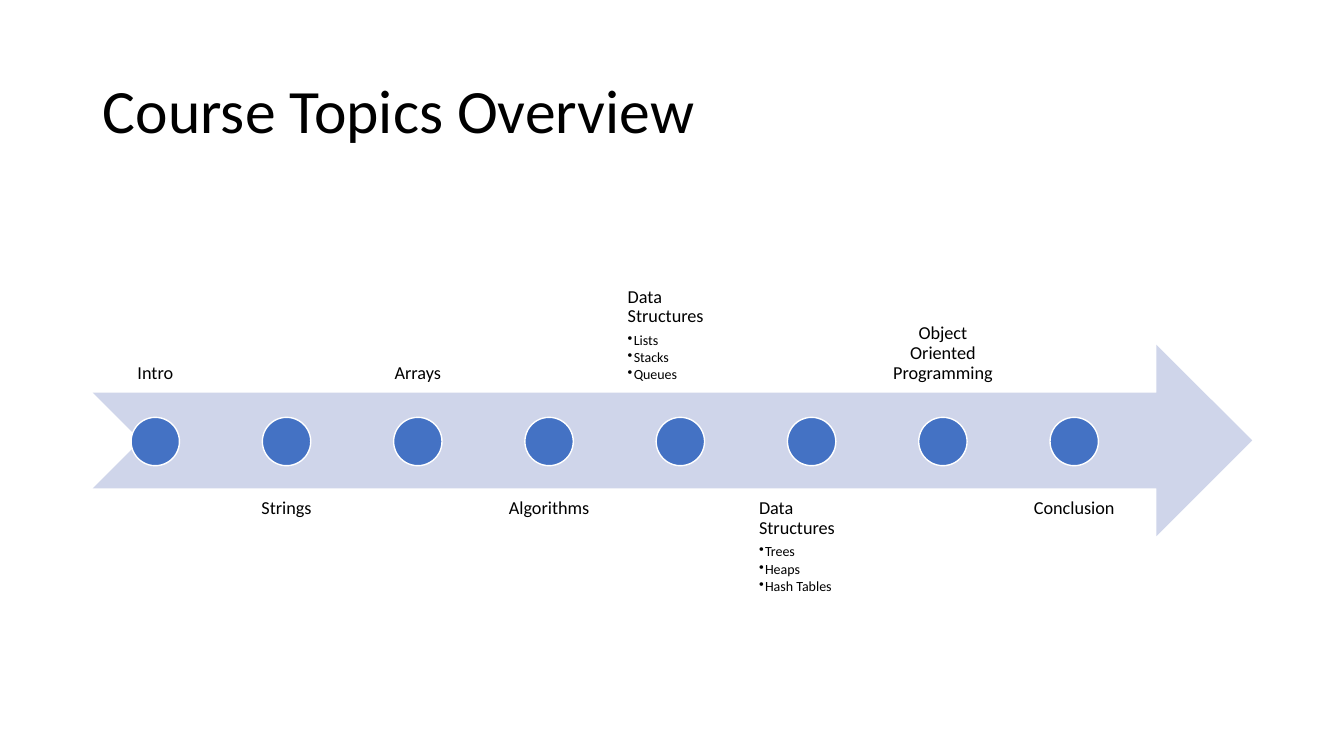
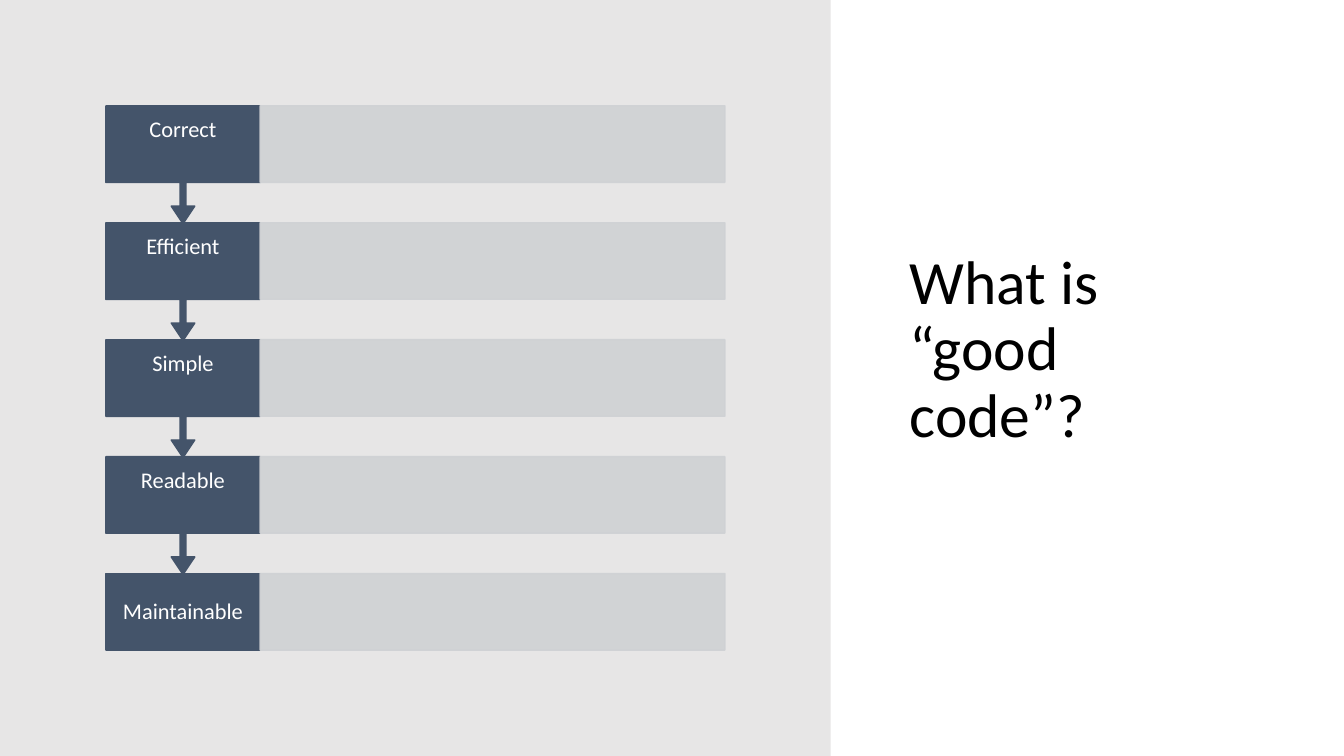
"""Build two slides: a course timeline and a list of good code qualities."""
from lxml import etree
from pptx import Presentation
from pptx.dml.color import RGBColor
from pptx.enum.shapes import MSO_SHAPE
from pptx.enum.text import MSO_ANCHOR, MSO_AUTO_SIZE, PP_ALIGN
from pptx.oxml.ns import qn
from pptx.util import Inches, Pt

RECTANGLE = MSO_SHAPE.RECTANGLE
ELLIPSE = MSO_SHAPE.OVAL
TIMELINE_ARROW = MSO_SHAPE.NOTCHED_RIGHT_ARROW
CALLOUT = MSO_SHAPE.UP_ARROW_CALLOUT
TOP, MIDDLE, BOTTOM = MSO_ANCHOR.TOP, MSO_ANCHOR.MIDDLE, MSO_ANCHOR.BOTTOM
LEFT, CENTER = PP_ALIGN.LEFT, PP_ALIGN.CENTER
NO_AUTOFIT = MSO_AUTO_SIZE.NONE

FONT = "Calibri"
BLACK, WHITE = "000000", "FFFFFF"
BLUE, PALE_BLUE = "4472C4", "CFD5EA"
SLATE, PALE_SLATE, PANEL_GRAY = "44546A", "CFD1D4", "E7E6E6"


def color(hex_value):
    """Turn a hex string into a colour."""
    return RGBColor.from_string(hex_value)


def assign(target, values):
    """Set each named attribute of the target."""
    for name, value in values.items():
        setattr(target, name, value)


class SlideBuilder:
    """Hold the shared style and the slide being built."""

    def __init__(self):
        """Start a widescreen deck."""
        self.deck = Presentation()
        assign(self.deck, {"slide_width": Inches(13.33), "slide_height": Inches(7.5)})
        self.page = None

    def add_page(self, title, *box):
        """Add a slide and place its title."""
        self.page = self.deck.slides.add_slide(self.deck.slide_layouts[5])
        holder = self.page.shapes.title
        assign(holder, dict(zip(("left", "top", "width", "height"), map(Inches, box))))
        self.set_frame(holder.text_frame, MIDDLE, 0.1, 0.05)
        self.fill_para(holder.text_frame.paragraphs[0], title, 44, BLACK, LEFT)

    def set_frame(self, frame, anchor, side, edge):
        """Set wrapping, anchor and margins of a text frame."""
        assign(frame, {
            "word_wrap": True, "auto_size": NO_AUTOFIT, "vertical_anchor": anchor,
            "margin_left": Inches(side), "margin_right": Inches(side),
            "margin_top": Inches(edge), "margin_bottom": Inches(edge),
        })

    def fill_para(self, para, text, size, ink, align, after=0.0):
        """Fill a paragraph; after is a share of the text size."""
        assign(para, {"alignment": align, "line_spacing": 0.9,
                      "space_before": Pt(0), "space_after": Pt(size * after)})
        span = para.add_run()
        span.text = text
        assign(span.font, {"name": FONT, "size": Pt(size)})
        span.font.color.rgb = color(ink)

    def label(self, box, text, size, ink, anchor, margins=(0.1, 0.1), bullets=()):
        """Add a text box with optional bullets under its heading."""
        frame = self.page.shapes.add_textbox(*map(Inches, box)).text_frame
        self.set_frame(frame, anchor, *margins)
        align = LEFT if bullets else CENTER
        self.fill_para(frame.paragraphs[0], text, size, ink, align, 0.35)
        for bullet in bullets:
            para = frame.add_paragraph()
            para.level = 1
            self.fill_para(para, bullet, 10, ink, LEFT, 0.15)
            properties = para._p.get_or_add_pPr()
            properties.set("marL", str(Inches(0.06)))
            properties.set("indent", str(-Inches(0.06)))
            etree.SubElement(properties, qn("a:buChar")).set("char", "•")

    def shape(self, kind, box, fill, line=None, opacity=100, adjustments=(), rotation=0):
        """Add a filled shape with an optional outline."""
        shape = self.page.shapes.add_shape(kind, *map(Inches, box))
        shape.shadow.inherit = False
        shape.rotation = rotation
        for index, value in enumerate(adjustments):
            shape.adjustments[index] = value
        shape.fill.solid()
        shape.fill.fore_color.rgb = color(fill)
        if line:
            shape.line.width = Pt(1)
            shape.line.color.rgb = color(line)
        else:
            shape.line.fill.background()
        if opacity < 100:
            for tone in shape._element.spPr.iter(qn("a:srgbClr")):
                etree.SubElement(tone, qn("a:alpha")).set("val", str(opacity * 1000))


def build_timeline(builder):
    """Place course topics above and below an arrow in turn."""
    topics = (
        ("Intro", ()),
        ("Strings", ()),
        ("Arrays", ()),
        ("Algorithms", ()),
        ("Data Structures", ("Lists", "Stacks", "Queues")),
        ("Data Structures", ("Trees", "Heaps", "Hash Tables")),
        ("Object Oriented Programming", ()),
        ("Conclusion", ()),
    )
    left, width, height, dot = 0.92, 1.24, 1.9, 0.48
    pitch = width * 1.05
    builder.add_page("Course Topics Overview", left, 0.4, 11.5, 1.45)
    builder.shape(TIMELINE_ARROW, (left, 3.42, 11.5, height), PALE_BLUE)
    for index, (topic, bullets) in enumerate(topics):
        x = left + index * pitch
        top, anchor = (4.85, TOP) if index % 2 else (2, BOTTOM)
        builder.label((x, top, width, height), topic, 13, BLACK, anchor, bullets=bullets)
        builder.shape(ELLIPSE, (x + (width - dot) / 2, 4.14, dot, dot), BLUE, WHITE)


def build_qualities(builder):
    """Stack the qualities of good code, joined by down arrows."""
    qualities = ("Correct", "Efficient", "Simple", "Readable", "Maintainable")
    left, top, width, height, pitch = 1.05, 1.05, 1.53, 0.76, 1.16
    builder.add_page("What is “good code”?", 8.92, 0.9, 3.5, 5.16)
    builder.shape(RECTANGLE, (0, 0, 8.24, 7.5), PANEL_GRAY)
    for index, quality in reversed(list(enumerate(qualities))):
        y = top + index * pitch
        if index == len(qualities) - 1:
            label_height = height
            builder.shape(RECTANGLE, (left, y, width, height), SLATE, SLATE)
        else:
            label_height = 0.49
            builder.shape(CALLOUT, (left, y, width, 1.17), SLATE, SLATE,
                          adjustments=(0.05, 0.1, 0.15, 0.65), rotation=180)
        builder.label((left, y, width, label_height), quality, 16, WHITE, MIDDLE, (0.11, 0.12))
        builder.shape(RECTANGLE, (left + width, y, 4.61, height), PALE_SLATE, PALE_SLATE, 90)


builder = SlideBuilder()
build_timeline(builder)
build_qualities(builder)
builder.deck.save("out.pptx")
